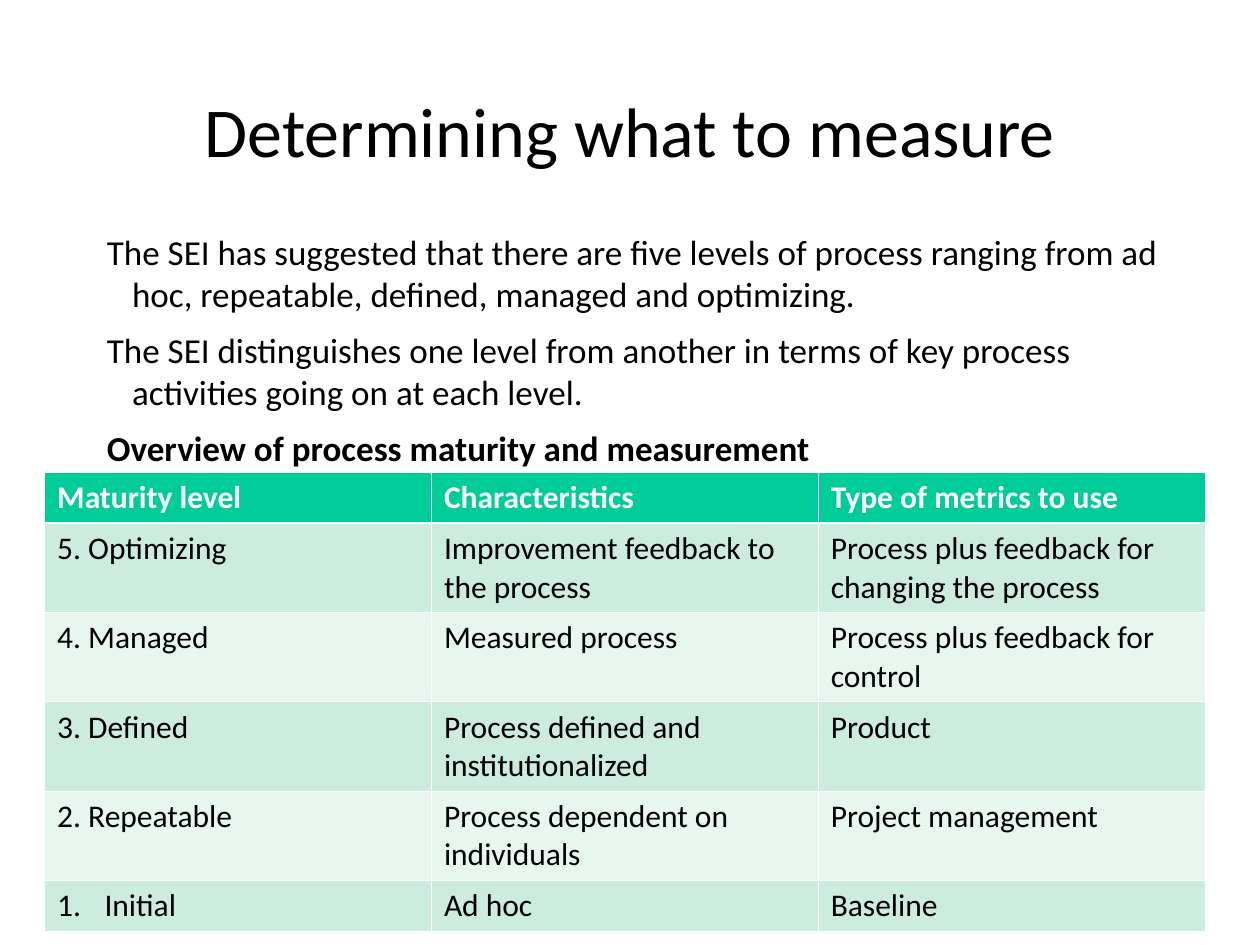
from dataclasses import dataclass

from lxml import etree
from pptx import Presentation
from pptx.dml.color import RGBColor
from pptx.enum import text as t
from pptx.oxml import ns
from pptx.util import Pt

BLACK = RGBColor(0x00, 0x00, 0x00)
WHITE = RGBColor(0xFF, 0xFF, 0xFF)
HEADER_GREEN = RGBColor(0x00, 0xCC, 0x99)
BAND_GREENS = (RGBColor(0xCB, 0xEC, 0xDE), RGBColor(0xE7, 0xF6, 0xEF))

FONT = "Calibri"
THIN, THICK = 0.45, 1.47  # table rules
COLUMN_WIDTH = 221.04


@dataclass(frozen=True)
class MaturityLevel:
    name: str
    characteristics: str
    metrics: str
    height: float = 51
    numbered: bool = False


HEADINGS = MaturityLevel("Maturity level", "Characteristics", "Type of metrics to use", height=29)
LEVELS = (
    MaturityLevel("5. Optimizing", "Improvement feedback to the process",
                  "Process plus feedback for changing the process"),
    MaturityLevel("4. Managed", "Measured process", "Process plus feedback for control"),
    MaturityLevel("3. Defined", "Process defined and institutionalized", "Product"),
    MaturityLevel("2. Repeatable", "Process dependent on individuals", "Project management"),
    MaturityLevel("Initial", "Ad hoc", "Baseline", height=29, numbered=True),
)


def write(paragraph, words: str, *, size: float, color: RGBColor = BLACK, bold: bool = False,
          align=t.PP_ALIGN.LEFT, before: float = 0, hanging: float = 0, numbered: bool = False) -> None:
    """Fill a paragraph with one formatted run."""
    paragraph.alignment = align
    paragraph.space_before = Pt(before)
    properties = paragraph._p.get_or_add_pPr()
    properties.set("marL", str(Pt(hanging)))
    properties.set("indent", str(-Pt(hanging)))
    if numbered:
        etree.SubElement(properties, ns.qn("a:buFont"), typeface="+mj-lt")
        etree.SubElement(properties, ns.qn("a:buAutoNum"), type="arabicPeriod")
    run = paragraph.add_run()
    run.text = words
    run.font.name = FONT
    run.font.size = Pt(size)
    run.font.bold = bold
    run.font.color.rgb = color


def add_frame(slide, left: float, top: float, width: float, height: float, anchor):
    frame = slide.shapes.add_textbox(Pt(left), Pt(top), Pt(width), Pt(height)).text_frame
    frame.word_wrap = True
    frame.vertical_anchor = anchor
    return frame


def set_borders(cell, top: float, bottom: float) -> None:
    """Put white rules ahead of the cell's fill, as the schema requires."""
    widths = {"L": THIN, "R": THIN, "T": top, "B": bottom}
    for position, (side, width) in enumerate(widths.items()):
        line = etree.Element(ns.qn(f"a:ln{side}"), w=str(Pt(width)))
        fill = etree.SubElement(line, ns.qn("a:solidFill"))
        etree.SubElement(fill, ns.qn("a:srgbClr"), val=str(WHITE))
        cell._tc.get_or_add_tcPr().insert(position, line)


def add_maturity_table(slide, left: float, top: float) -> None:
    rows = (HEADINGS, *LEVELS)
    total_height = sum(level.height for level in rows)
    table = slide.shapes.add_table(len(rows), 3, Pt(left), Pt(top),
                                   Pt(3 * COLUMN_WIDTH), Pt(total_height)).table
    for column in table.columns:
        column.width = Pt(COLUMN_WIDTH)
    for index, level in enumerate(rows):
        heading = index == 0
        table.rows[index].height = Pt(level.height)
        for column, words in enumerate((level.name, level.characteristics, level.metrics)):
            cell = table.cell(index, column)
            cell.fill.solid()
            cell.fill.fore_color.rgb = HEADER_GREEN if heading else BAND_GREENS[(index - 1) % 2]
            set_borders(cell, top=THICK if index == 1 else THIN, bottom=THICK if heading else THIN)
            numbered = level.numbered and column == 0
            write(cell.text_frame.paragraphs[0], words, size=18, bold=heading,
                  color=WHITE if heading else BLACK,
                  hanging=27 if numbered else 0, numbered=numbered)


def main() -> None:
    deck = Presentation()
    deck.slide_width, deck.slide_height = Pt(720), Pt(540)
    slide = deck.slides.add_slide(deck.slide_layouts[6])

    # Title
    title = add_frame(slide, 54, 48, 612, 52, t.MSO_ANCHOR.MIDDLE)
    write(title.paragraphs[0], "Determining what to measure", size=40, align=t.PP_ALIGN.CENTER)

    # Introduction, ending with the table's caption
    introduction = add_frame(slide, 54, 128, 641, 374, t.MSO_ANCHOR.TOP)
    statements = (
        "The SEI has suggested that there are five levels of process ranging from ad hoc, "
        "repeatable, defined, managed and optimizing.",
        "The SEI distinguishes one level from another in terms of key process activities "
        "going on at each level.",
        "Overview of process maturity and measurement",
    )
    for index, statement in enumerate(statements):
        paragraph = introduction.add_paragraph() if index else introduction.paragraphs[0]
        write(paragraph, statement, size=20, before=8 if index else 0, hanging=14.4,
              bold=index == len(statements) - 1)

    # Maturity levels
    add_maturity_table(slide, 25.5, 270)

    deck.save("out.pptx")


if __name__ == "__main__":
    main()
